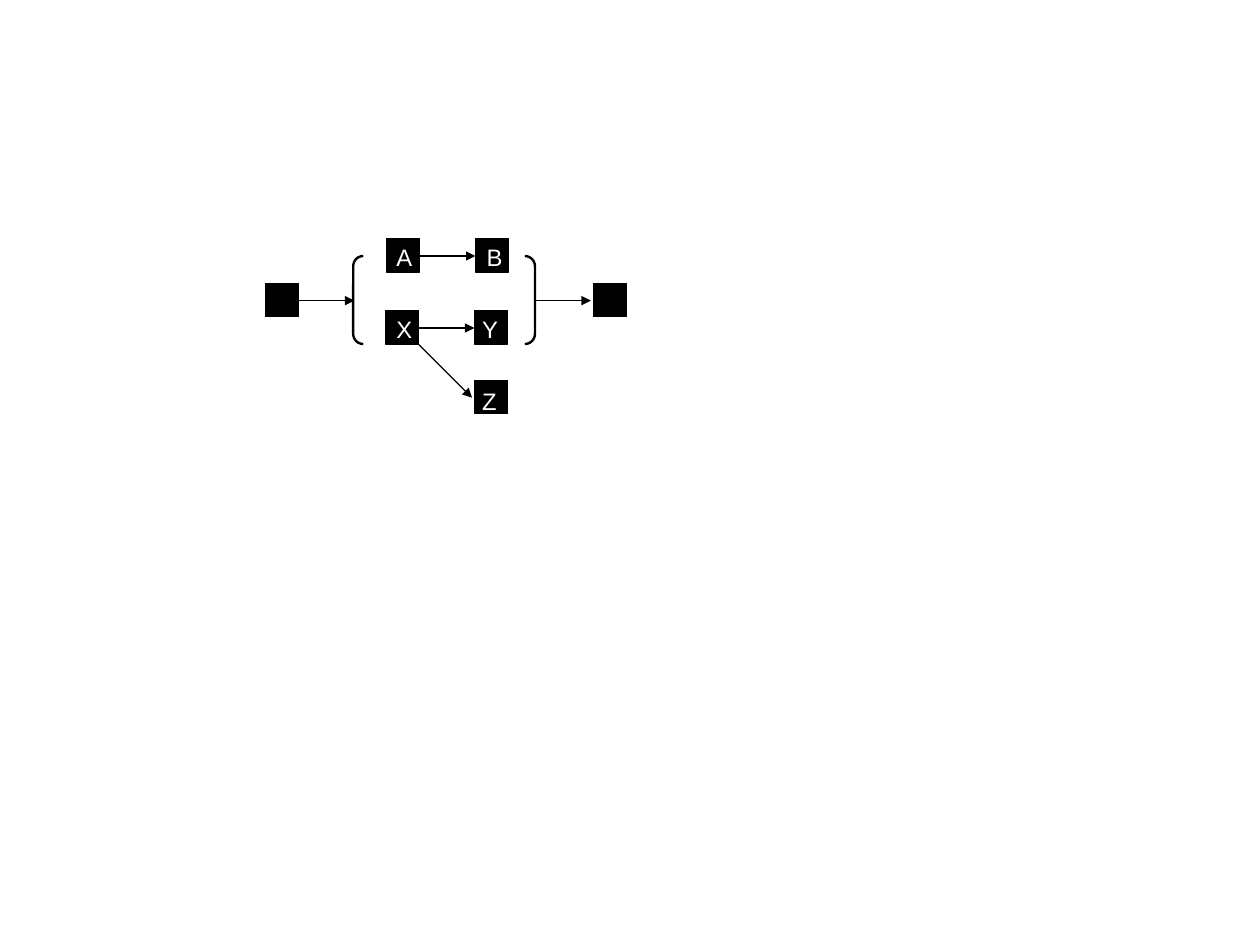
from pptx import Presentation
from pptx.dml.color import RGBColor
from pptx.enum.shapes import MSO_CONNECTOR, MSO_SHAPE
from pptx.enum.text import MSO_AUTO_SIZE
from pptx.oxml.ns import qn
from pptx.util import Cm, Inches, Pt
from lxml.etree import SubElement

CELL = 0.1  # grid step in inches
SIDE = 2.9  # box side in grid steps
INK, PAPER = "000000", "FFFFFF"


def grid(*steps):
    return [Inches(step * CELL) for step in steps]


def tint(code):
    return RGBColor.from_string(code)


def apply(target, values):
    for name, value in values.items():
        setattr(target, name, value)


class Sketch:
    thin, thick = Pt(0.75), Pt(1.5)
    font = {"name": "Arial", "size": Pt(15)}
    frame = {"word_wrap": False, "auto_size": MSO_AUTO_SIZE.SHAPE_TO_FIT_TEXT}

    def __init__(self, slide):
        self.shapes = slide.shapes

    def stroke(self, item, width):
        item.line.color.rgb = tint(INK)
        item.line.width = width

    def box(self, col, row):
        item = self.shapes.add_shape(MSO_SHAPE.RECTANGLE, *grid(col, row, SIDE, SIDE))
        item.shadow.inherit = False
        item.fill.solid()
        item.fill.fore_color.rgb = tint(INK)
        self.stroke(item, self.thin)

    def bracket(self, col, row, wide, high):
        item = self.shapes.add_shape(MSO_SHAPE.DOUBLE_BRACKET, *grid(col, row, wide, high))
        item.adjustments[0] = 0.115
        item.shadow.inherit = False
        item.fill.background()
        self.stroke(item, self.thick)

    def arrow(self, *ends):
        item = self.shapes.add_connector(MSO_CONNECTOR.STRAIGHT, *grid(*ends))
        self.stroke(item, self.thin)
        SubElement(item.line._get_or_add_ln(), qn("a:tailEnd"), type="triangle")
        SubElement(item._element.spPr, qn("a:effectLst"))

    def label(self, text, col, row):
        frame = self.shapes.add_textbox(*grid(col, row, 3.4, 3.8)).text_frame
        apply(frame, self.frame)
        run = frame.paragraphs[0].add_run()
        run.text = text
        apply(run.font, self.font)
        run.font.color.rgb = tint(PAPER)


def main():
    deck = Presentation()
    apply(deck, {"slide_width": Cm(28), "slide_height": Cm(21)})
    sketch = Sketch(deck.slides.add_slide(deck.slide_layouts[6]))

    # Boxes: start, end, then the two branches
    for col, row in [(23.2, 24.8), (51.9, 24.8), (33.8, 20.9), (41.6, 20.9),
                     (33.7, 27.2), (41.5, 27.2), (41.5, 33.3)]:
        sketch.box(col, row)

    # Bracket around the branches
    sketch.bracket(30.9, 22.4, 15.9, 7.7)

    # Level arrows, all of one length
    for col, row in [(26.1, 26.3), (46.8, 26.3), (36.7, 22.4), (36.6, 28.7)]:
        sketch.arrow(col, row, col + 4.9, row)

    # Slanted arrow from X to Z
    sketch.arrow(36.6, 30.1, 41.3, 34.8)

    # Letters, one row per branch
    for text, col, line in [("A", 33.7, 0), ("B", 41.6, 0), ("X", 33.7, 1),
                            ("Y", 41.2, 1), ("Z", 41.2, 2)]:
        sketch.label(text, col, 20.7 + 6.3 * line)

    deck.save("out.pptx")


if __name__ == "__main__":
    main()
